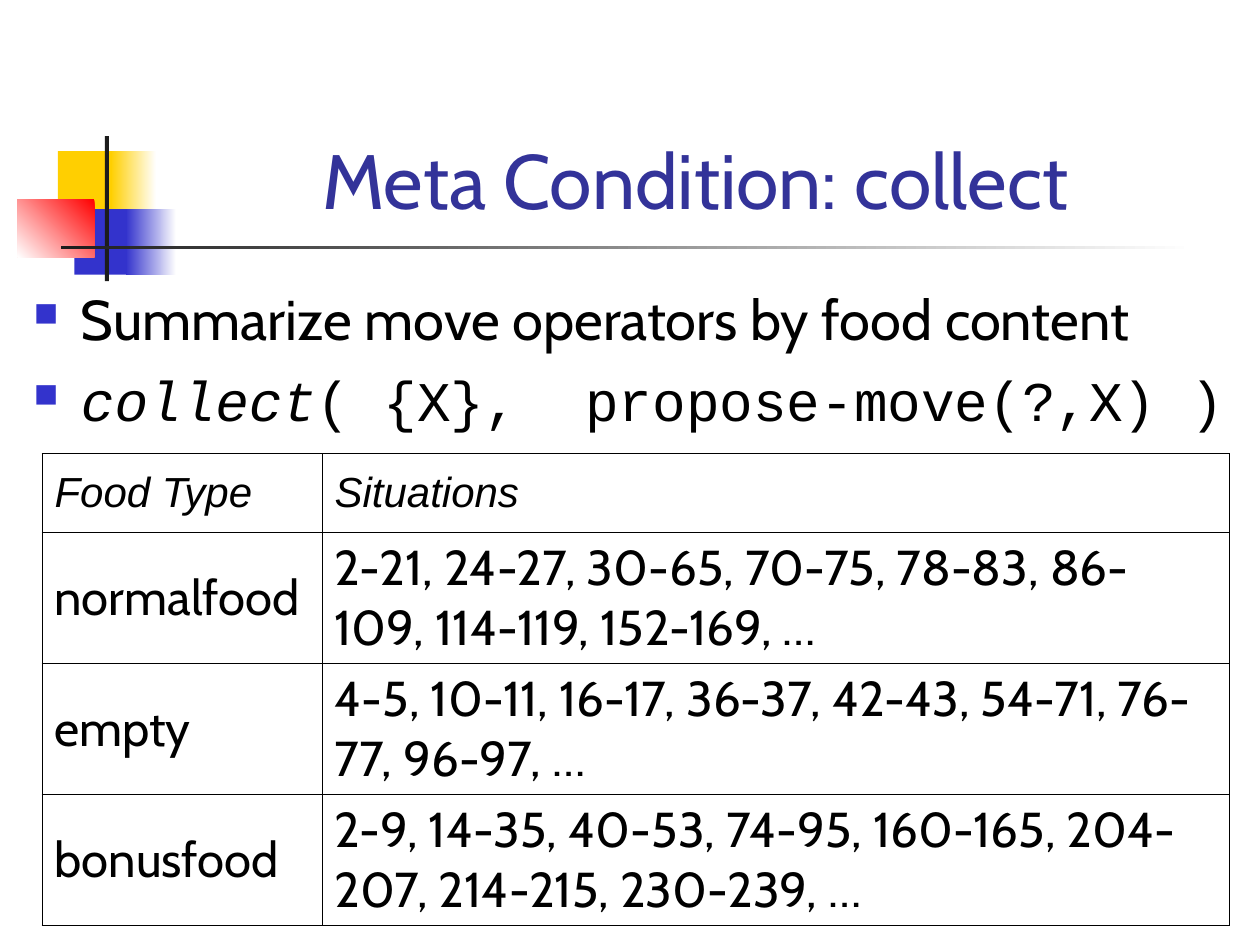
from lxml import etree
from pptx import Presentation
from pptx.dml.color import RGBColor
from pptx.enum.shapes import MSO_SHAPE
from pptx.enum.text import MSO_ANCHOR, PP_ALIGN
from pptx.oxml.ns import qn
from pptx.util import Pt

RECT = MSO_SHAPE.RECTANGLE
TOP, MID, LOW = MSO_ANCHOR.TOP, MSO_ANCHOR.MIDDLE, MSO_ANCHOR.BOTTOM
LEFT, CENTER = PP_ALIGN.LEFT, PP_ALIGN.CENTER
SANS, HEAD, MONO = "Cabin", "Arial", "Courier New"
WHITE, BLACK, DARK = "FFFFFF", "000000", "1C1C1C"
GOLD, BLUE, RED, NAVY = "FFCF01", "3333CC", "FF0000", "333399"


def color(code):
    return RGBColor.from_string(code)


def child(parent, tag, **attrs):
    return etree.SubElement(parent, qn(tag), attrs)


class Deck:
    """Style and current slide, with a method for each kind of element."""

    def __init__(self, wide, high):
        self.file = Presentation()
        self.file.slide_width, self.file.slide_height = Pt(wide), Pt(high)
        self.slide = self.file.slides.add_slide(self.file.slide_layouts[6])

    def block(self, box, *tones, angle=180):
        shape = self.slide.shapes.add_shape(RECT, *map(Pt, box))
        shape.shadow.inherit = False
        shape.line.fill.background()
        if len(tones) == 1:
            shape.fill.solid()
            shape.fill.fore_color.rgb = color(tones[0])
            return
        shape.fill.gradient()
        shape.fill.gradient_angle = angle
        for stop, tone in zip(shape.fill.gradient_stops, tones):
            stop.color.rgb = color(tone)

    def run(self, para, text, size, face=SANS, tone=BLACK, slant=False):
        run = para.add_run()
        run.text = text
        font = run.font
        font.size, font.name, font.italic = Pt(size), face, slant
        font.color.rgb = color(tone)

    def bullet(self, para, indent=27):
        props = para._p.get_or_add_pPr()
        props.set("marL", str(Pt(indent)))
        props.set("indent", str(-Pt(indent)))
        child(child(props, "a:buClr"), "a:srgbClr", val=BLUE)
        child(props, "a:buSzPct", val="60000")
        child(props, "a:buChar", char="■")

    def text(self, box, paras, size, tone=BLACK, align=LEFT, anchor=TOP, dots=False):
        frame = self.slide.shapes.add_textbox(*map(Pt, box)).text_frame
        frame.word_wrap, frame.vertical_anchor = True, anchor
        for i, runs in enumerate(paras):
            para = frame.add_paragraph() if i else frame.paragraphs[0]
            para.alignment = align
            if dots:
                self.bullet(para)
            if i:
                para.space_before = Pt(8)
            for words, face, slant in runs:
                self.run(para, words, size, face, tone, slant)

    def border(self, cell, width=0.45):
        props = cell._tc.get_or_add_tcPr()
        for side in ("a:lnL", "a:lnR", "a:lnT", "a:lnB"):
            line = child(props, side, w=str(Pt(width)))
            child(child(line, "a:solidFill"), "a:srgbClr", val=BLACK)

    def table(self, left, top, cols, highs, rows):
        box = map(Pt, (left, top, sum(cols), sum(highs)))
        table = self.slide.shapes.add_table(len(rows), len(cols), *box).table
        table.first_row = table.horz_banding = False
        for col, wide in zip(table.columns, cols):
            col.width = Pt(wide)
        for i, (row, high) in enumerate(zip(rows, highs)):
            table.rows[i].height = Pt(high)
            style = (28, SANS, BLACK, False) if i else (24, HEAD, BLACK, True)
            for j, words in enumerate(row):
                cell = table.cell(i, j)
                cell.vertical_anchor = MID
                self.border(cell)
                cell.fill.background()
                self.run(cell.text_frame.paragraphs[0], words, *style)

    def save(self):
        self.file.save("out.pptx")


def main():
    deck = Deck(720, 540)
    deck.block((33.1, 86.4, 34.6, 37.4), GOLD)
    deck.block((63.4, 86.4, 25.9, 37.4), WHITE, GOLD)
    deck.block((42.5, 119.5, 33.1, 37.4), BLUE)
    deck.block((72, 119.5, 28.8, 37.4), WHITE, BLUE)
    deck.block((10, 113.8, 44, 33.1), RED, WHITE, angle=225)
    deck.block((60, 77.8, 2.2, 82.8), DARK)
    deck.block((34.6, 140.4, 648, 2.2), WHITE, DARK)
    deck.text((90.7, 16.6, 613.4, 115.2), [[("Meta Condition: collect", SANS, False)]],
              44, NAVY, CENTER, LOW)
    deck.table(24, 259.2, (160, 518.4), (44.8, 74.9, 74.9, 74.9), [
        ("Food Type", "Situations"),
        ("normalfood", "2-21, 24-27, 30-65, 70-75, 78-83, 86-109, 114-119, 152-169, …"),
        ("empty", "4-5, 10-11, 16-17, 36-37, 42-43, 54-71, 76-77, 96-97, …"),
        ("bonusfood", "2-9, 14-35, 40-53, 74-95, 160-165, 204-207, 214-215, 230-239, …"),
    ])
    deck.text((12.2, 159.1, 789.1, 324), [
        [("Summarize move operators by food content", SANS, False)],
        [("collect", MONO, True), ("( {X},  propose-move(?,X) )", MONO, False)],
    ], 32, dots=True)
    deck.save()


if __name__ == "__main__":
    main()
